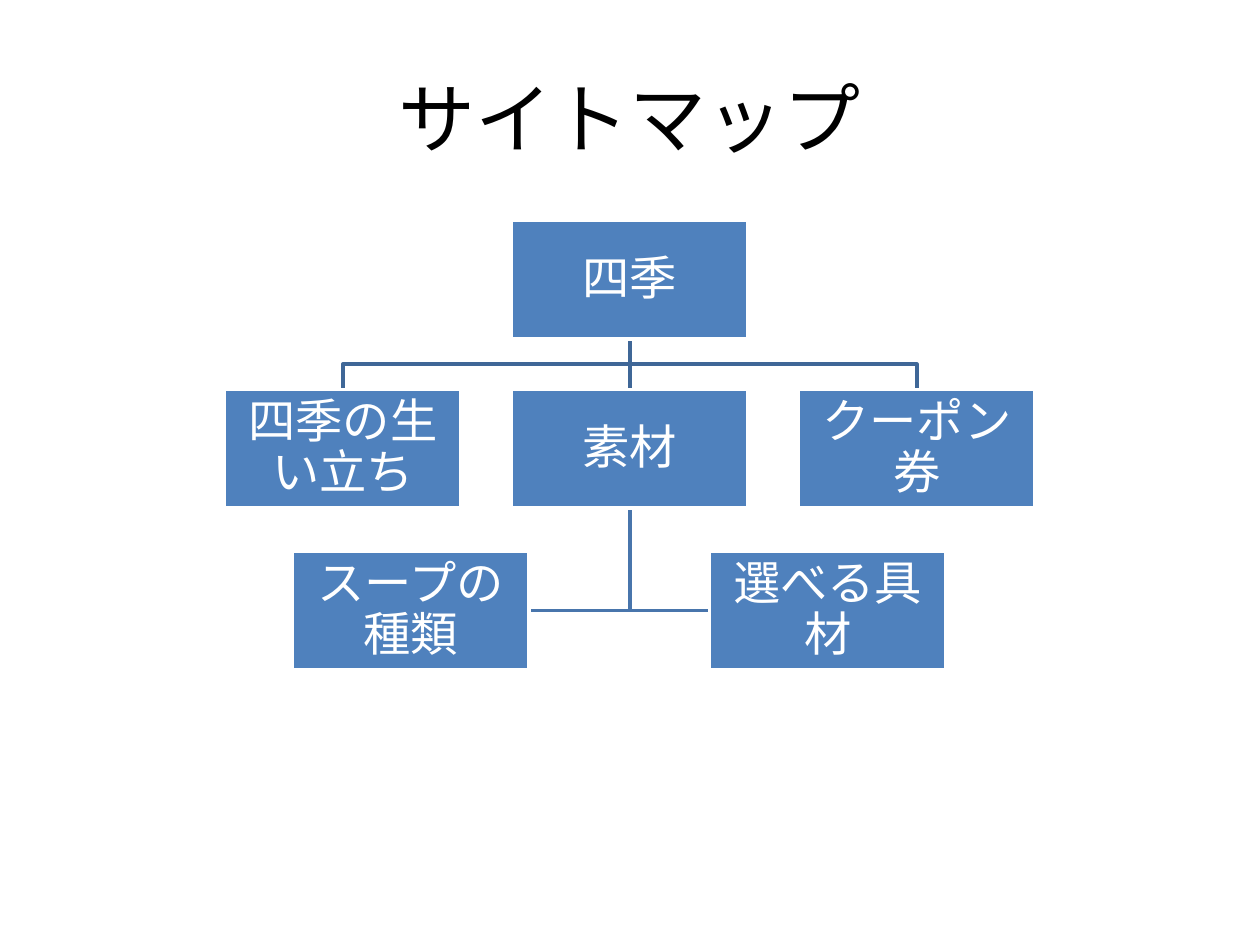
from pptx import Presentation
from pptx.dml.color import RGBColor
from pptx.enum.shapes import MSO_CONNECTOR, MSO_SHAPE
from pptx.enum.text import MSO_ANCHOR, PP_ALIGN
from pptx.oxml.ns import qn
from pptx.util import Pt
from lxml import etree

BLUE = RGBColor(0x4F, 0x81, 0xBD)
UPPER_LINE = RGBColor(0x3F, 0x67, 0x97)
LOWER_LINE = RGBColor(0x48, 0x75, 0xAC)
WHITE = RGBColor(0xFF, 0xFF, 0xFF)
BLACK = RGBColor(0, 0, 0)

WIDTH, HEIGHT = 135.2, 67.6
CENTER, SPREAD = 360, 164
TOPS = [126, 222.6, 315.2]
SOUP, TOPPINGS = 234.7, 473


def write(shape, text, size, color):
    frame = shape.text_frame
    frame.word_wrap = True
    frame.vertical_anchor = MSO_ANCHOR.MIDDLE
    para = frame.paragraphs[0]
    para.alignment = PP_ALIGN.CENTER
    span = para.add_run()
    span.text = text
    span.font.name = "Calibri"
    span.font.size = Pt(size)
    span.font.color.rgb = color
    return para


deck = Presentation()
deck.slide_width, deck.slide_height = Pt(720), Pt(540)
page = deck.slides.add_slide(deck.slide_layouts[6])
shapes = page.shapes

title = shapes.add_textbox(Pt(36), Pt(21.6), Pt(648), Pt(90))
write(title, "サイトマップ", 44, BLACK)

root_bottom = TOPS[0] + HEIGHT
bus = (root_bottom + TOPS[1]) / 2
middle_bottom = TOPS[1] + HEIGHT
leaf_middle = TOPS[2] + HEIGHT / 2

elbows = []
for x in (CENTER - SPREAD, CENTER + SPREAD):
    elbows.append((UPPER_LINE, [(CENTER, root_bottom), (CENTER, bus), (x, bus), (x, TOPS[1])]))
for x in (SOUP + WIDTH / 2, TOPPINGS - WIDTH / 2):
    elbows.append((LOWER_LINE, [(CENTER, middle_bottom), (CENTER, leaf_middle), (x, leaf_middle)]))

for color, points in elbows:
    start, *rest = [(Pt(x), Pt(y)) for x, y in points]
    builder = shapes.build_freeform(*start)
    builder.add_line_segments(rest, close=False)
    elbow = builder.convert_to_shape()
    elbow.shadow.inherit = False
    elbow.fill.background()
    elbow.line.color.rgb = color
    elbow.line.width = Pt(2)

stem = shapes.add_connector(
    MSO_CONNECTOR.STRAIGHT, Pt(CENTER), Pt(root_bottom), Pt(CENTER), Pt(TOPS[1]))
stem.line.color.rgb = UPPER_LINE
stem.line.width = Pt(2)
etree.SubElement(stem._element.spPr, qn("a:effectLst"))

nodes = [
    ("四季", CENTER, 0),
    ("四季の生い立ち", CENTER - SPREAD, 1),
    ("素材", CENTER, 1),
    ("クーポン券", CENTER + SPREAD, 1),
    ("スープの種類", SOUP, 2),
    ("選べる具材", TOPPINGS, 2),
]
for text, x, level in nodes:
    box = shapes.add_shape(
        MSO_SHAPE.RECTANGLE, Pt(x - WIDTH / 2), Pt(TOPS[level]), Pt(WIDTH), Pt(HEIGHT))
    box.shadow.inherit = False
    box.fill.solid()
    box.fill.fore_color.rgb = BLUE
    box.line.color.rgb = WHITE
    box.line.width = Pt(2)
    frame = box.text_frame
    frame.margin_left = frame.margin_right = Pt(1.35)
    frame.margin_top = frame.margin_bottom = Pt(1.35)
    para = write(box, text, 27, WHITE)
    para.line_spacing = 0.9

deck.save("out.pptx")
